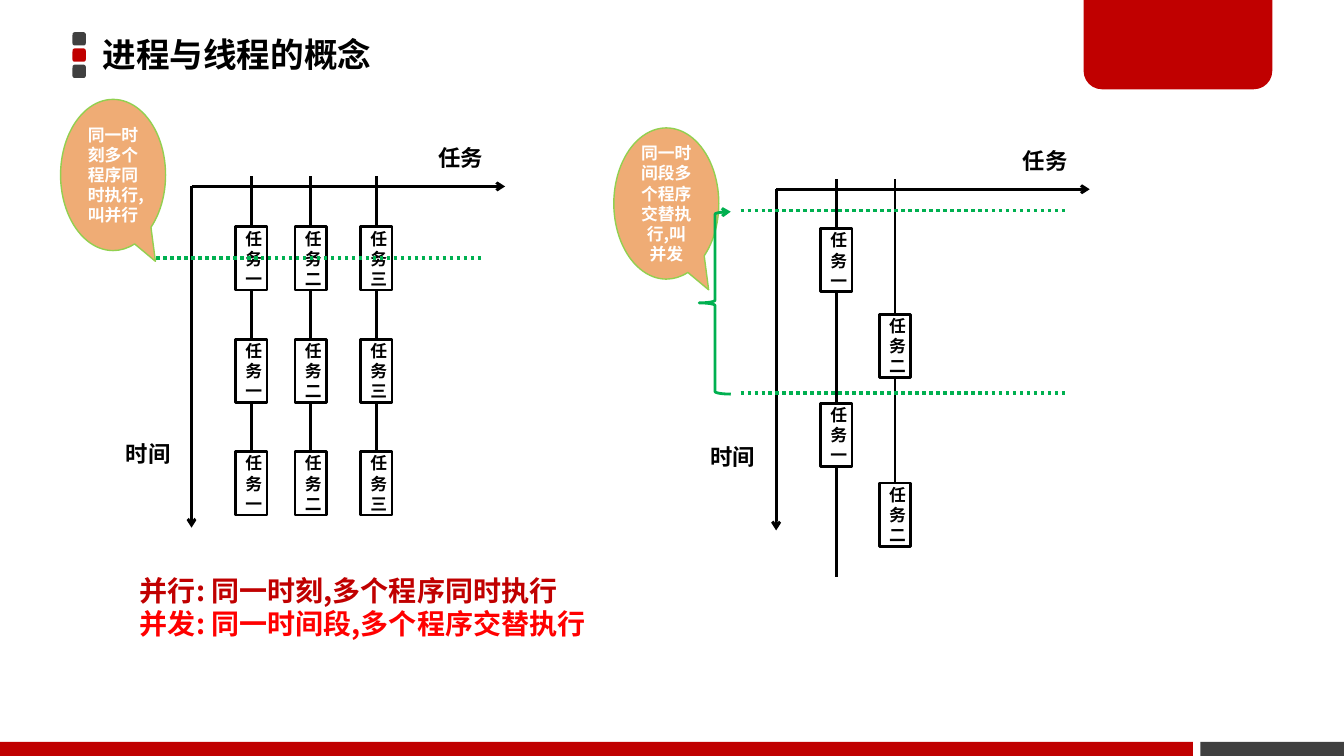
from lxml.etree import SubElement
from pptx import Presentation
from pptx.dml.color import RGBColor
from pptx.enum.dml import MSO_LINE
from pptx.enum.shapes import MSO_CONNECTOR, MSO_SHAPE as Shape
from pptx.enum.text import MSO_ANCHOR as Anchor, PP_ALIGN as Align
from pptx.oxml.ns import qn
from pptx.util import Pt

COLORS = {
    "black": "000000", "white": "FFFFFF", "gray": "404040", "crimson": "C00000",
    "red": "FF0000", "green": "00B050", "lime": "92D050", "orange": "E46C0A",
}
TITLE_FONT = "Noto Sans CJK JP"
BODY_FONT = "Noto Sans CJK SC"
BOX_WIDTH, BOX_HEIGHT = 22.5, 45.2


def color(name):
    """Return the named colour."""
    return RGBColor.from_string(COLORS[name])


def write(holder, *lines, size=12, fill="black", font=BODY_FONT,
          align=Align.LEFT, anchor=Anchor.TOP, spacing=None):
    """Write bold lines; fill is one colour name or a list with one per line."""
    frame = holder.text_frame
    frame.word_wrap = True
    frame.vertical_anchor = anchor
    fills = [fill] * len(lines) if isinstance(fill, str) else fill
    for index, (line, tint) in enumerate(zip(lines, fills)):
        para = frame.add_paragraph() if index else frame.paragraphs[0]
        para.alignment = align
        para.line_spacing = spacing
        span = para.add_run()
        span.text = line
        span.font.size = Pt(size)
        span.font.bold = True
        span.font.name = font
        span.font.color.rgb = color(tint)
        SubElement(span.font._element, qn("a:ea"), typeface=font)


def add_text(page, left, top, width, height, *lines, **style):
    """Add a text box."""
    box = page.shapes.add_textbox(Pt(left), Pt(top), Pt(width), Pt(height))
    write(box, *lines, **style)


def add_figure(page, kind, left, top, width, height, fill=None, line=None, weight=2):
    """Add a preset shape with optional fill and outline."""
    figure = page.shapes.add_shape(kind, Pt(left), Pt(top), Pt(width), Pt(height))
    figure.shadow.inherit = False
    if fill:
        figure.fill.solid()
        figure.fill.fore_color.rgb = color(fill)
    else:
        figure.fill.background()
    if line:
        figure.line.color.rgb = color(line)
        figure.line.width = Pt(weight)
    else:
        figure.line.fill.background()
    return figure


def add_arrowhead(item):
    """Put an arrowhead at the end of a line."""
    SubElement(item._element.spPr.find(qn("a:ln")), qn("a:tailEnd"), type="arrow")


def add_line(page, x1, y1, x2, y2, tint="black", weight=2):
    """Add a straight line."""
    line = page.shapes.add_connector(MSO_CONNECTOR.STRAIGHT, Pt(x1), Pt(y1), Pt(x2), Pt(y2))
    line.line.color.rgb = color(tint)
    line.line.width = Pt(weight)
    SubElement(line._element.spPr, qn("a:effectLst"))
    return line


def add_dotted(page, left, y):
    """Add a dotted green level line."""
    add_line(page, left, y, left + 232.3, y, "green", 2.5).line.dash_style = MSO_LINE.ROUND_DOT


def add_axes(page, x, y):
    """Add the task and time axes with their labels."""
    add_text(page, x + 169.2, y - 33.8, 85, 26.6, "任务", size=16)
    add_text(page, x - 54, y + 177.8, 85, 26.6, "时间", size=16)
    add_arrowhead(add_line(page, x, y, x + 224, y))
    add_arrowhead(add_line(page, x, y, x, y + 243.7))


def add_track(page, label, center, start, tops):
    """Add task boxes down one line and return the last box."""
    previous = None
    for top in tops:
        box = add_figure(page, Shape.RECTANGLE, center - BOX_WIDTH / 2, top,
                         BOX_WIDTH, BOX_HEIGHT, line="black")
        write(box, label, align=Align.CENTER, anchor=Anchor.MIDDLE)
        stem = add_line(page, center, start, center, top)
        if previous:
            stem.begin_connect(previous, 2)
        stem.end_connect(box, 0)
        previous = box
    return previous


def add_callout(page, left, top, words):
    """Add a translucent speech balloon."""
    balloon = add_figure(page, Shape.OVAL_CALLOUT, left, top, 75, 108,
                         "orange", "lime", 1)
    balloon.adjustments[0] = 0.403
    balloon.adjustments[1] = 0.571
    tint = balloon._element.spPr.find(qn("a:solidFill"))[0]
    SubElement(tint, qn("a:alpha"), val="56000")
    write(balloon, words, fill="white", align=Align.CENTER, anchor=Anchor.MIDDLE)


def add_frame(page):
    """Add the title and the decoration around the slide."""
    for row, fill in enumerate(("gray", "crimson", "gray")):
        add_figure(page, Shape.ROUNDED_RECTANGLE, 51.8, 23 + 11.6 * row, 9.5, 9.5, fill)
    add_figure(page, Shape.RECTANGLE, 857.5, 530, 102.5, 10, "gray")
    add_figure(page, Shape.RECTANGLE, 0, 530, 852, 10, "crimson")
    tab = add_figure(page, Shape.ROUND_2_SAME_RECTANGLE, 774, -2, 134.8, 65.8, "crimson")
    tab.adjustments[0] = 0
    tab.adjustments[1] = 0.2
    add_text(page, 66.2, -2, 565, 85, "进程与线程的概念", size=24,
             font=TITLE_FONT, anchor=Anchor.MIDDLE, spacing=0.9)


def add_parallel(page):
    """Add the chart of tasks that run at the same moment."""
    add_axes(page, 136.8, 133.2)
    tops = [162 + 80.3 * row for row in range(3)]
    for label, center in (("任务一", 179.5), ("任务二", 222), ("任务三", 268.8)):
        add_track(page, label, center, 126, tops)
    add_dotted(page, 111.6, 184.3)
    add_callout(page, 43.3, 71, "同一时刻多个程序同时执行,叫并行")


def add_concurrent(page):
    """Add the chart of tasks that take turns."""
    add_axes(page, 554.4, 135.2)
    last = add_track(page, "任务一", 597.3, 128, (163.3, 288))
    add_line(page, 597.3, 333.2, 597.3, 411.8).begin_connect(last, 2)
    add_track(page, "任务二", 639.3, 128, (224.6, 345))
    add_callout(page, 438.5, 91.4, "同一时间段多个程序交替执行,叫并发")
    for y in (150.5, 280.8):
        add_dotted(page, 529, y)
    brace = add_figure(page, Shape.LEFT_BRACE, 499.5, 151.2, 22.5, 130.3, line="green")
    add_arrowhead(brace)


def main():
    """Build and save the slide."""
    deck = Presentation()
    deck.slide_width, deck.slide_height = Pt(960), Pt(540)
    page = deck.slides.add_slide(deck.slide_layouts[6])
    add_frame(page)
    add_parallel(page)
    add_concurrent(page)
    add_text(page, 92.9, 406, 536.4, 55.4, "并行: 同一时刻,多个程序同时执行",
             "并发: 同一时间段,多个程序交替执行", size=20, fill=["crimson", "red"])
    deck.save("out.pptx")


if __name__ == "__main__":
    main()
